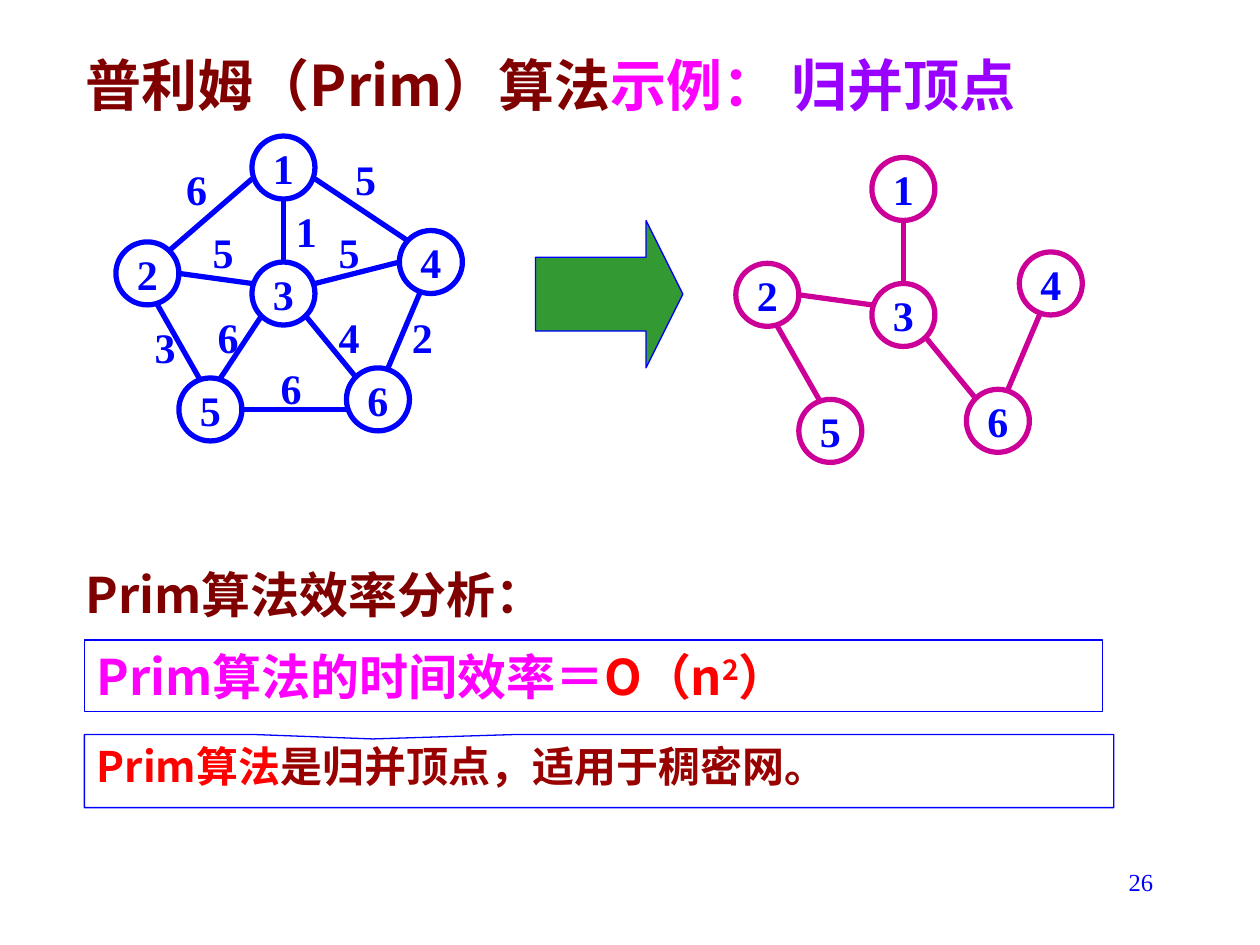
import pptx
import pptx.util
import pptx.dml.color
import pptx.enum.shapes
import pptx.enum.text
import pptx.oxml.ns
from lxml import etree

Inches = pptx.util.Inches
RGBColor = pptx.dml.color.RGBColor
Shape = pptx.enum.shapes.MSO_SHAPE
Align = pptx.enum.text.PP_ALIGN
Anchor = pptx.enum.text.MSO_ANCHOR
qn = pptx.oxml.ns.qn

MAROON = RGBColor(0x80, 0x00, 0x00)
DARK_RED = RGBColor(0x99, 0x00, 0x00)
RED = RGBColor(0xFF, 0x00, 0x00)
MAGENTA = RGBColor(0xFF, 0x00, 0xFF)
VIOLET = RGBColor(0x99, 0x00, 0xFF)
BLUE = RGBColor(0x00, 0x00, 0xFF)
PURPLE = RGBColor(0xCC, 0x00, 0x99)
GREEN = RGBColor(0x33, 0x99, 0x33)
WHITE = RGBColor(0xFF, 0xFF, 0xFF)

HEADING_FONT = "Noto Sans CJK SC"
NUMBER_FONT = "Times New Roman"
NODE_SIZE = 0.5
LABEL_SIZE = (0.36, 0.5)
TREE_OFFSET = (4.92, 0.17)

TITLE = [("普利姆（Prim）算法", MAROON), ("示例： ", MAGENTA), ("归并顶点", VIOLET)]
ANALYSIS = [("Prim算法效率分析：", MAROON)]
EFFICIENCY = [("Prim算法的时间效率＝", MAGENTA), ("O（n", RED), ("2", RED, 30), ("）", RED)]
CONCLUSION = [("Prim算法", RED), ("是归并顶点，适用于稠密网。", DARK_RED)]
PAGE_NUMBER = [("26", BLUE)]

NODES = {
    "1": (2, 1.08),
    "4": (3.17, 1.83),
    "6": (2.75, 2.92),
    "5": (1.42, 3),
    "2": (0.92, 1.92),
    "3": (2, 2.08),
}
# start, end, weight, weight position
OTHER_EDGES = [
    ((2, 1.42), (1.33, 2), "6", (1.38, 1.25)),
    ((1.92, 3.25), (2.75, 3.25), "6", (2.13, 2.83)),
    ((2.5, 1.42), (3.25, 1.92), "5", (2.72, 1.17)),
    ((2.08, 2.5), (1.75, 3), "6", (1.63, 2.42)),
    ((2.5, 2.25), (3.17, 2.08), "5", (2.59, 1.75)),
]
TREE_EDGES = [
    ((2.25, 1.58), (2.25, 2.08), "1", (2.25, 1.58)),
    ((2.42, 2.5), (2.83, 3), "4", (2.59, 2.42)),
    ((3.33, 2.33), (3.08, 2.92), "2", (3.17, 2.42)),
    ((1.42, 2.17), (2, 2.25), "5", (1.59, 1.75)),
    ((1.25, 2.42), (1.58, 3), "3", (1.13, 2.5)),
]


def write_text(shape, runs, *, size, font=HEADING_FONT, bold=True, align=Align.LEFT,
               anchor=Anchor.TOP, wrap=True):
    frame = shape.text_frame
    frame.word_wrap = wrap
    frame.vertical_anchor = anchor
    paragraph = frame.paragraphs[0]
    paragraph.alignment = align
    for text, color, *baseline in runs:
        run = paragraph.add_run()
        run.text = text
        run.font.size = pptx.util.Pt(size)
        run.font.bold = bold
        run.font.color.rgb = color
        run.font.name = font
        properties = run.font._element
        etree.SubElement(properties, qn("a:ea")).set("typeface", font)
        if baseline:
            properties.set("baseline", str(baseline[0] * 1000))


def add_text(slide, box, runs, **text_format):
    shape = slide.shapes.add_textbox(*map(Inches, box))
    write_text(shape, runs, **text_format)


def add_box(slide, kind, box, fill, line, width=0.75):
    shape = slide.shapes.add_shape(kind, *map(Inches, box))
    shape.shadow.inherit = False
    if fill is None:
        shape.fill.background()
    else:
        shape.fill.solid()
        shape.fill.fore_color.rgb = fill
    shape.line.color.rgb = line
    shape.line.width = pptx.util.Pt(width)
    return shape


def add_edge(slide, start, end, color):
    connector = slide.shapes.add_connector(
        pptx.enum.shapes.MSO_CONNECTOR.STRAIGHT, *map(Inches, (*start, *end)))
    connector.line.color.rgb = color
    connector.line.width = pptx.util.Pt(3)
    etree.SubElement(connector._element.spPr, qn("a:effectLst"))


def add_graph(slide, edges, color, offset=(0, 0), weighted=True):
    def moved(point):
        return point[0] + offset[0], point[1] + offset[1]

    for number, position in NODES.items():
        node = add_box(slide, Shape.OVAL, (*moved(position), NODE_SIZE, NODE_SIZE),
                       None, color, 3)
        write_text(node, [(number, BLUE)], size=24, font=NUMBER_FONT,
                   align=Align.CENTER, anchor=Anchor.MIDDLE, wrap=False)
    for start, end, _, _ in edges:
        add_edge(slide, moved(start), moved(end), color)
    if weighted:
        for _, _, weight, position in edges:
            add_text(slide, (*moved(position), *LABEL_SIZE), [(weight, BLUE)],
                     size=24, font=NUMBER_FONT, wrap=False)


def main():
    presentation = pptx.Presentation()
    presentation.slide_width = Inches(10)
    presentation.slide_height = Inches(7.5)
    slide = presentation.slides.add_slide(presentation.slide_layouts[6])

    add_text(slide, (0.58, 0.33, 7.92, 0.67), TITLE, size=32, anchor=Anchor.MIDDLE)
    add_graph(slide, OTHER_EDGES + TREE_EDGES, BLUE)
    add_graph(slide, TREE_EDGES, PURPLE, TREE_OFFSET, weighted=False)

    arrow = add_box(slide, Shape.RIGHT_ARROW, (4.25, 1.75, 1.17, 1.17), GREEN, BLUE)
    arrow.adjustments[0] = 0.5
    arrow.adjustments[1] = 0.25

    add_text(slide, (0.58, 4.42, 8.5, 0.58), ANALYSIS, size=28, anchor=Anchor.MIDDLE)
    efficiency = add_box(slide, Shape.RECTANGLE, (0.67, 5.08, 8.08, 0.57), WHITE, BLUE)
    write_text(efficiency, EFFICIENCY, size=28)
    conclusion = add_box(slide, Shape.RECTANGULAR_CALLOUT, (0.67, 5.83, 8.17, 0.58),
                         WHITE, BLUE)
    conclusion.adjustments[0] = -0.22
    conclusion.adjustments[1] = -0.44
    write_text(conclusion, CONCLUSION, size=24)
    add_text(slide, (7.17, 6.83, 2.08, 0.5), PAGE_NUMBER, size=14, font=NUMBER_FONT,
             bold=False, align=Align.RIGHT)

    presentation.save("out.pptx")


if __name__ == "__main__":
    main()
